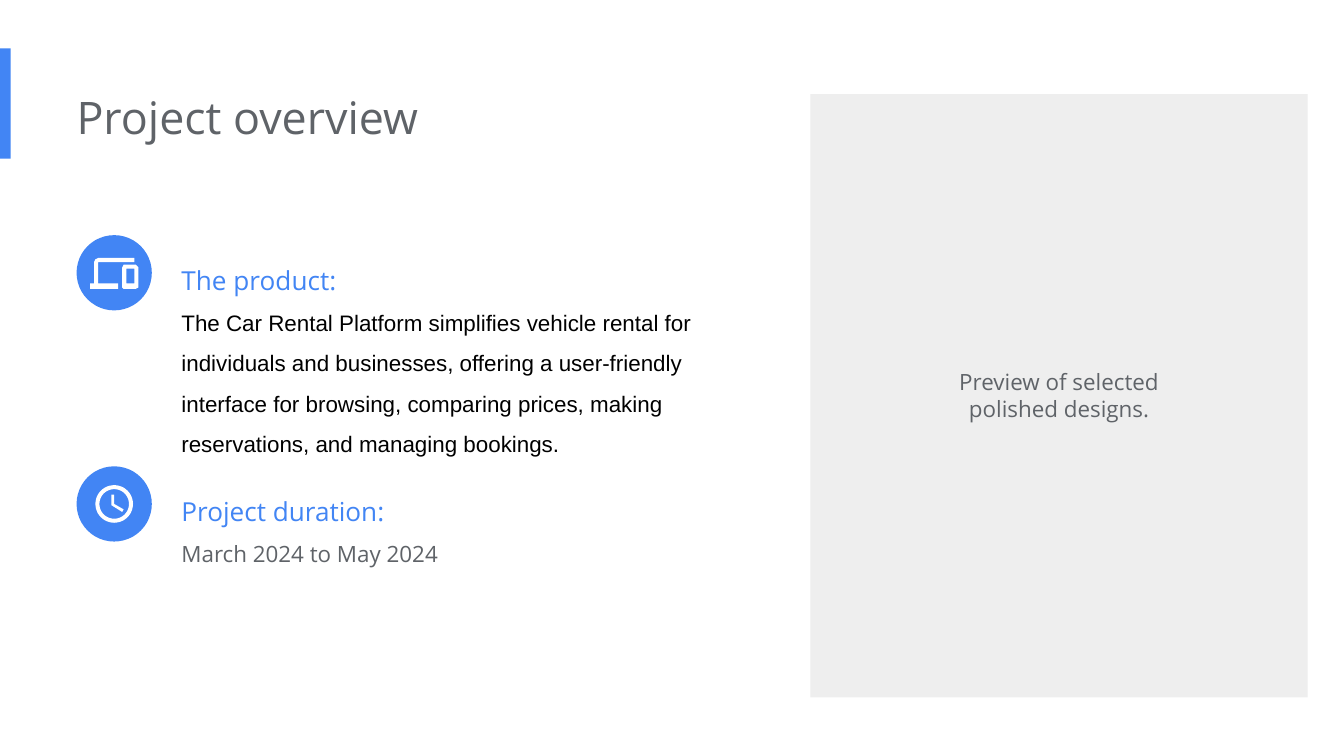
from dataclasses import dataclass
from math import cos, pi, sin

from pptx import Presentation
from pptx.dml.color import RGBColor
from pptx.enum.shapes import MSO_SHAPE
from pptx.enum.text import MSO_ANCHOR, PP_ALIGN
from pptx.util import Inches, Pt


@dataclass(frozen=True)
class Theme:
    blue: str = "4285F4"
    gray: str = "5F6368"
    pale: str = "EEEEEE"
    black: str = "000000"
    white: str = "FFFFFF"
    font: str = "Open Sans"
    plain: str = "Arial"
    title: int = 24
    head: int = 14
    body: int = 12


class Deck:
    def __init__(self, theme):
        self.theme = theme
        self.file = Presentation()
        self.file.slide_width = Inches(10)
        self.file.slide_height = Inches(10 * 9 / 16)
        self.slide = self.file.slides.add_slide(self.file.slide_layouts[6])

    def paint(self, shape, color):
        shape.shadow.inherit = False
        shape.fill.solid()
        shape.fill.fore_color.rgb = RGBColor.from_string(color)
        shape.line.fill.background()

    def shape(self, kind, box, color):
        item = self.slide.shapes.add_shape(kind, *map(Inches, box))
        self.paint(item, color)

    def icon(self, loops, color):
        loops = [[(Inches(x), Inches(y)) for x, y in loop] for loop in loops]
        path = self.slide.shapes.build_freeform(*loops[0][0])
        for index, loop in enumerate(loops):
            if index:
                path.move_to(*loop[0])
            path.add_line_segments(loop[1:], close=True)
        self.paint(path.convert_to_shape(), color)

    def text(self, box, lines, left=0, space=None, align=PP_ALIGN.LEFT):
        frame = self.slide.shapes.add_textbox(*map(Inches, box)).text_frame
        frame.word_wrap = True
        frame.vertical_anchor = MSO_ANCHOR.TOP
        frame.margin_left = Inches(left)
        frame.margin_top = frame.margin_right = frame.margin_bottom = Inches(0.1)
        for index, (words, size, color, font) in enumerate(lines):
            para = frame.add_paragraph() if index else frame.paragraphs[0]
            para.text = words
            para.alignment = align
            if space:
                para.line_spacing = space
            para.font.size = Pt(size)
            para.font.name = font
            para.font.color.rgb = RGBColor.from_string(color)

    def topic(self, top, width, height, head, body, color, font, loops):
        look = self.theme
        self.shape(MSO_SHAPE.OVAL, (0.57, top, 0.56, 0.56), look.blue)
        self.icon(loops, look.white)
        lines = [(head, look.head, look.blue, look.font),
                 (body, look.body, color, font)]
        self.text((1.35, top, width, height), lines, space=1.5)


def ring(x, y, radius, steps=48):
    turns = [2 * pi * step / steps for step in range(steps)]
    return [(x + radius * cos(turn), y + radius * sin(turn)) for turn in turns]


def main():
    look = Theme()
    deck = Deck(look)
    deck.shape(MSO_SHAPE.RECTANGLE, (0, 0.36, 0.08, 0.82), look.blue)
    deck.shape(MSO_SHAPE.RECTANGLE, (6.03, 0.7, 3.7, 4.49), look.pale)
    deck.text((0.57, 0.57, 6.73, 0.61),
              [("Project overview", look.title, look.gray, look.font)])

    laptop = [(0.73, 1.95), (1, 1.95), (1, 1.92), (0.73, 1.92), (0.71, 1.93),
              (0.7, 1.95), (0.7, 2.11), (0.67, 2.11), (0.67, 2.15),
              (0.88, 2.15), (0.88, 2.11), (0.73, 2.11)]
    phone = [(1.01, 1.97), (0.92, 1.97), (0.91, 1.99), (0.91, 2.14),
             (0.92, 2.15), (1.01, 2.15), (1.03, 2.14), (1.03, 1.99)]
    screen = [(1, 2.11), (0.94, 2.11), (0.94, 2), (1, 2)]
    deck.topic(
        1.75, 4.47, 1.77, "The product:",
        "The Car Rental Platform simplifies vehicle rental for individuals "
        "and businesses, offering a user-friendly interface for browsing, "
        "comparing prices, making reservations, and managing bookings.",
        look.black, look.plain, [laptop, phone, screen])

    hands = [(0.83, 3.68), (0.83, 3.76), (0.91, 3.81), (0.92, 3.79),
             (0.85, 3.75), (0.85, 3.68)]
    clock = [ring(0.85, 3.75, 0.14), ring(0.85, 3.75, 0.11), hands]
    deck.topic(3.47, 3.77, 0.86, "Project duration:",
               "March 2024 to May 2024", look.gray, look.font, clock)

    deck.text((6.89, 2.64, 1.98, 0.61),
              [("Preview of selected polished designs.",
                look.body, look.gray, look.font)],
              left=0.1, align=PP_ALIGN.CENTER)
    deck.file.save("out.pptx")


if __name__ == "__main__":
    main()
